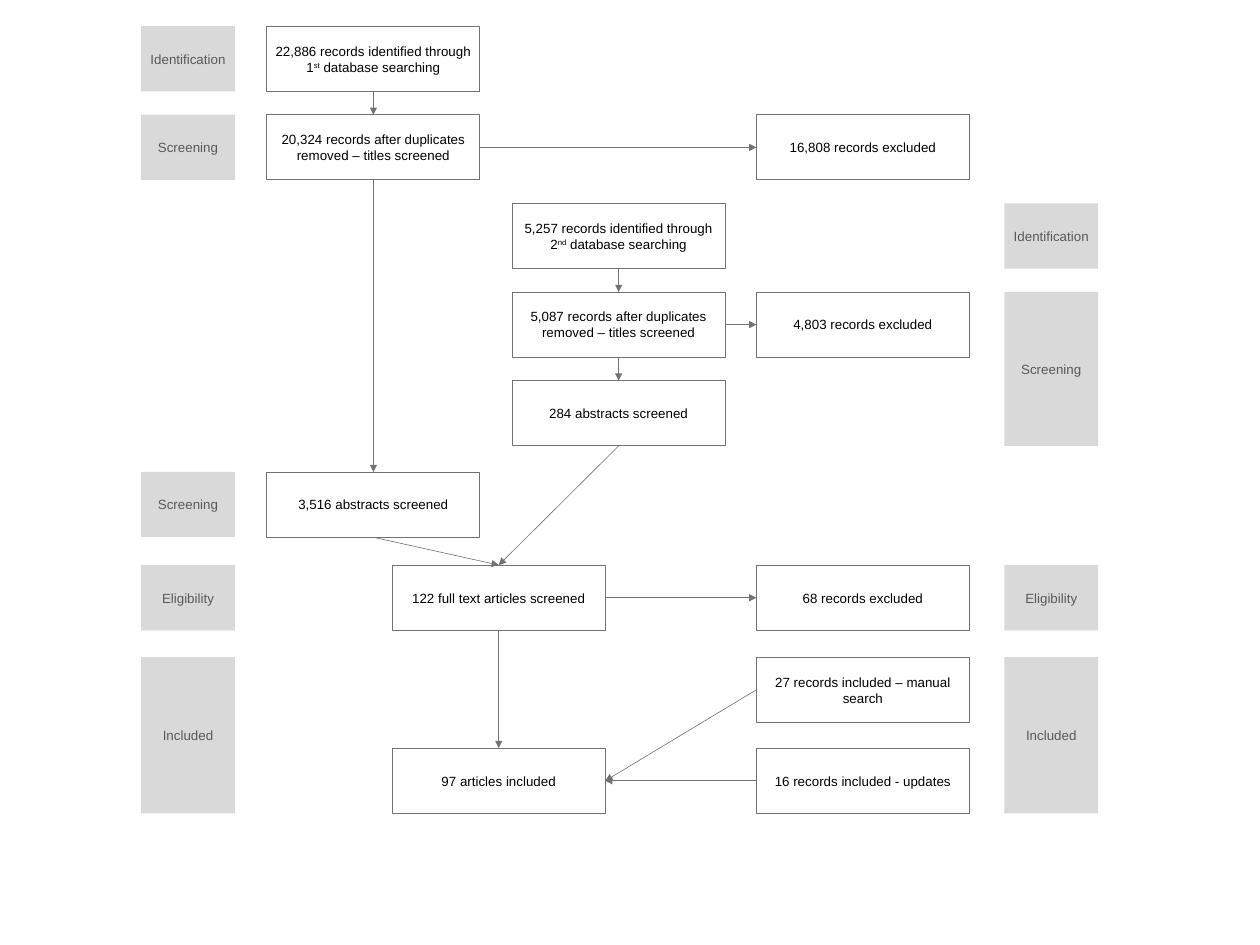
from dataclasses import dataclass

from lxml.etree import SubElement
from pptx import Presentation
from pptx.dml.color import RGBColor
from pptx.enum.shapes import MSO_CONNECTOR, MSO_SHAPE
from pptx.enum.text import MSO_ANCHOR, PP_ALIGN
from pptx.oxml.ns import qn
from pptx.util import Cm, Pt


@dataclass(frozen=True)
class Theme:
    font: str = "Arial"
    size: Pt = Pt(11)
    space_after: Pt = Pt(8)
    box_line: Pt = Pt(0.75)
    arrow_line: Pt = Pt(0.5)
    line: RGBColor = RGBColor(0x76, 0x71, 0x71)
    box_fill: RGBColor = RGBColor(0xFF, 0xFF, 0xFF)
    box_text: RGBColor = RGBColor(0x00, 0x00, 0x00)
    stage_fill: RGBColor = RGBColor(0xD9, 0xD9, 0xD9)
    stage_text: RGBColor = RGBColor(0x59, 0x59, 0x59)


theme = Theme()

presentation = Presentation()
presentation.slide_width = Cm(36.68)
presentation.slide_height = Cm(27.51)
slide = presentation.slides.add_slide(presentation.slide_layouts[6])

# Grid in centimetres: five evenly spaced rows, then the shared lower rows
BOX_WIDTH, STAGE_WIDTH, BOX_HEIGHT = 6.2, 2.73, 1.9
LEFT_STAGE, FIRST, MERGED, SECOND, SIDE, RIGHT_STAGE = 4.11, 7.77, 11.42, 14.91, 22.02, 29.24
rows = [0.76 + 2.58 * index for index in range(5)] + [13.74, 16.45, 19.13, 21.78]


def add_box(text, *, left, top, width=BOX_WIDTH, height=BOX_HEIGHT,
            fill=theme.box_fill, color=theme.box_text, outline=theme.line):
    """Add a text rectangle; a part between ^ marks is superscript."""
    shape = slide.shapes.add_shape(
        MSO_SHAPE.RECTANGLE, Cm(left), Cm(top), Cm(width), Cm(height))
    shape.shadow.inherit = False
    shape.fill.solid()
    shape.fill.fore_color.rgb = fill
    if outline is None:
        shape.line.fill.background()
    else:
        shape.line.color.rgb = outline
        shape.line.width = theme.box_line
    frame = shape.text_frame
    frame.word_wrap = True
    frame.vertical_anchor = MSO_ANCHOR.MIDDLE
    frame.margin_left = frame.margin_right = Cm(0.25)
    frame.margin_top = frame.margin_bottom = Cm(0.25)
    paragraph = frame.paragraphs[0]
    paragraph.alignment = PP_ALIGN.CENTER
    paragraph.space_after = theme.space_after
    for index, part in enumerate(text.split("^")):
        run = paragraph.add_run()
        run.text = part
        run.font.name = theme.font
        run.font.size = theme.size
        run.font.color.rgb = color
        if index % 2:
            run.font._element.set("baseline", "30000")
    return shape


# Stage labels: text, left, first row, last row
stages = [
    ("Identification", LEFT_STAGE, 0, 0),
    ("Screening", LEFT_STAGE, 1, 1),
    ("Screening", LEFT_STAGE, 5, 5),
    ("Eligibility", LEFT_STAGE, 6, 6),
    ("Included", LEFT_STAGE, 7, 8),
    ("Identification", RIGHT_STAGE, 2, 2),
    ("Screening", RIGHT_STAGE, 3, 4),
    ("Eligibility", RIGHT_STAGE, 6, 6),
    ("Included", RIGHT_STAGE, 7, 8),
]
for text, left, first_row, last_row in stages:
    add_box(text, left=left, top=rows[first_row], width=STAGE_WIDTH,
            height=rows[last_row] - rows[first_row] + BOX_HEIGHT,
            fill=theme.stage_fill, color=theme.stage_text, outline=None)

# Record boxes: name, text, left, row
records = [
    ("first search", "22,886 records identified through 1^st^ database searching", FIRST, 0),
    ("first titles", "20,324 records after duplicates removed – titles screened", FIRST, 1),
    ("first excluded", "16,808 records excluded", SIDE, 1),
    ("second search", "5,257 records identified through 2^nd^ database searching", SECOND, 2),
    ("second titles", "5,087 records after duplicates removed – titles screened", SECOND, 3),
    ("second excluded", "4,803 records excluded", SIDE, 3),
    ("second abstracts", "284 abstracts screened", SECOND, 4),
    ("first abstracts", "3,516 abstracts screened", FIRST, 5),
    ("full text", "122 full text articles screened", MERGED, 6),
    ("full text excluded", "68 records excluded", SIDE, 6),
    ("manual search", "27 records included – manual search", SIDE, 7),
    ("included", "97 articles included", MERGED, 8),
    ("updates", "16 records included - updates", SIDE, 8),
]
boxes = {name: add_box(text, left=left, top=rows[row])
         for name, text, left, row in records}

# Arrows glued to the connection sites of the boxes
TOP, LEFT, BOTTOM, RIGHT = range(4)
arrows = [
    ("first search", BOTTOM, "first titles", TOP),
    ("first titles", BOTTOM, "first abstracts", TOP),
    ("first titles", RIGHT, "first excluded", LEFT),
    ("second search", BOTTOM, "second titles", TOP),
    ("second titles", BOTTOM, "second abstracts", TOP),
    ("second titles", RIGHT, "second excluded", LEFT),
    ("second abstracts", BOTTOM, "full text", TOP),
    ("first abstracts", BOTTOM, "full text", TOP),
    ("full text", RIGHT, "full text excluded", LEFT),
    ("full text", BOTTOM, "included", TOP),
    ("manual search", LEFT, "included", RIGHT),
    ("updates", LEFT, "included", RIGHT),
]
for source, source_site, target, target_site in arrows:
    connector = slide.shapes.add_connector(MSO_CONNECTOR.STRAIGHT, 0, 0, 0, 0)
    connector.begin_connect(boxes[source], source_site)
    connector.end_connect(boxes[target], target_site)
    connector.line.color.rgb = theme.line
    connector.line.width = theme.arrow_line
    SubElement(connector.line._get_or_add_ln(), qn("a:tailEnd"), type="triangle")
    SubElement(connector._element.spPr, qn("a:effectLst"))

presentation.save("out.pptx")
